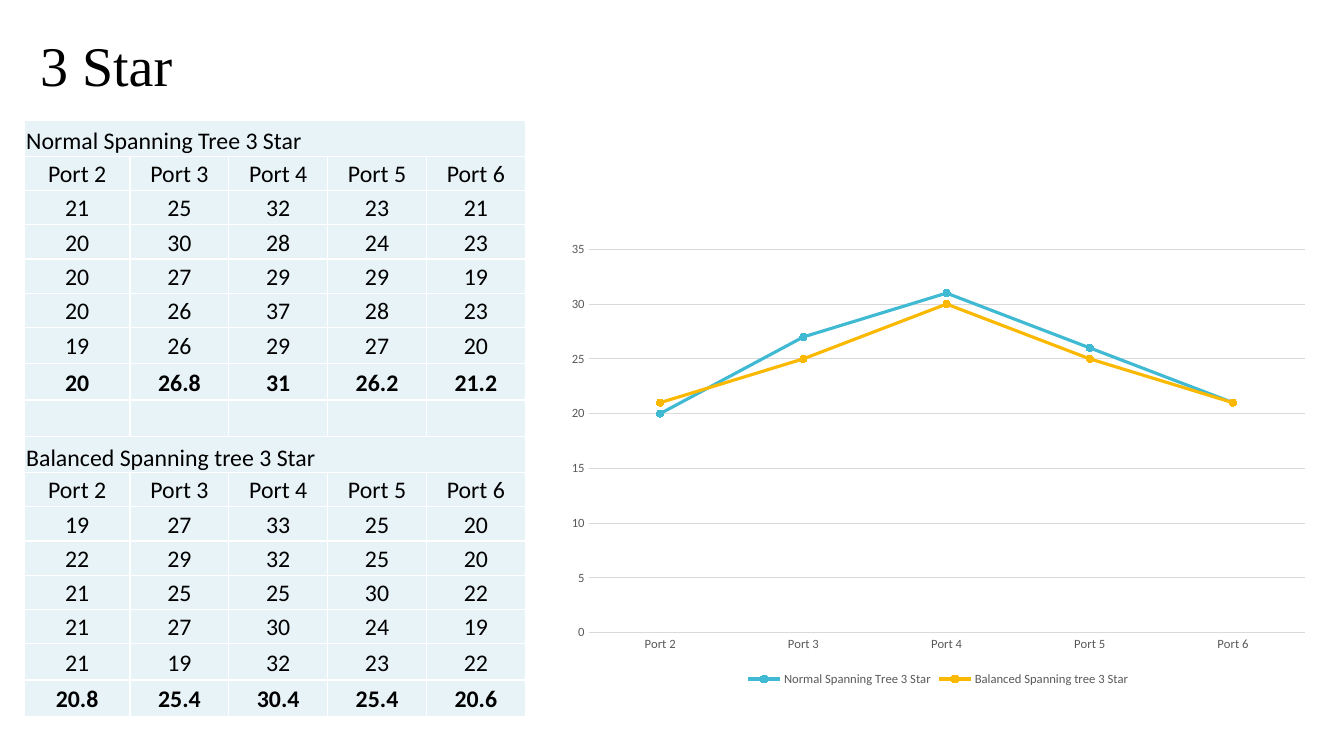
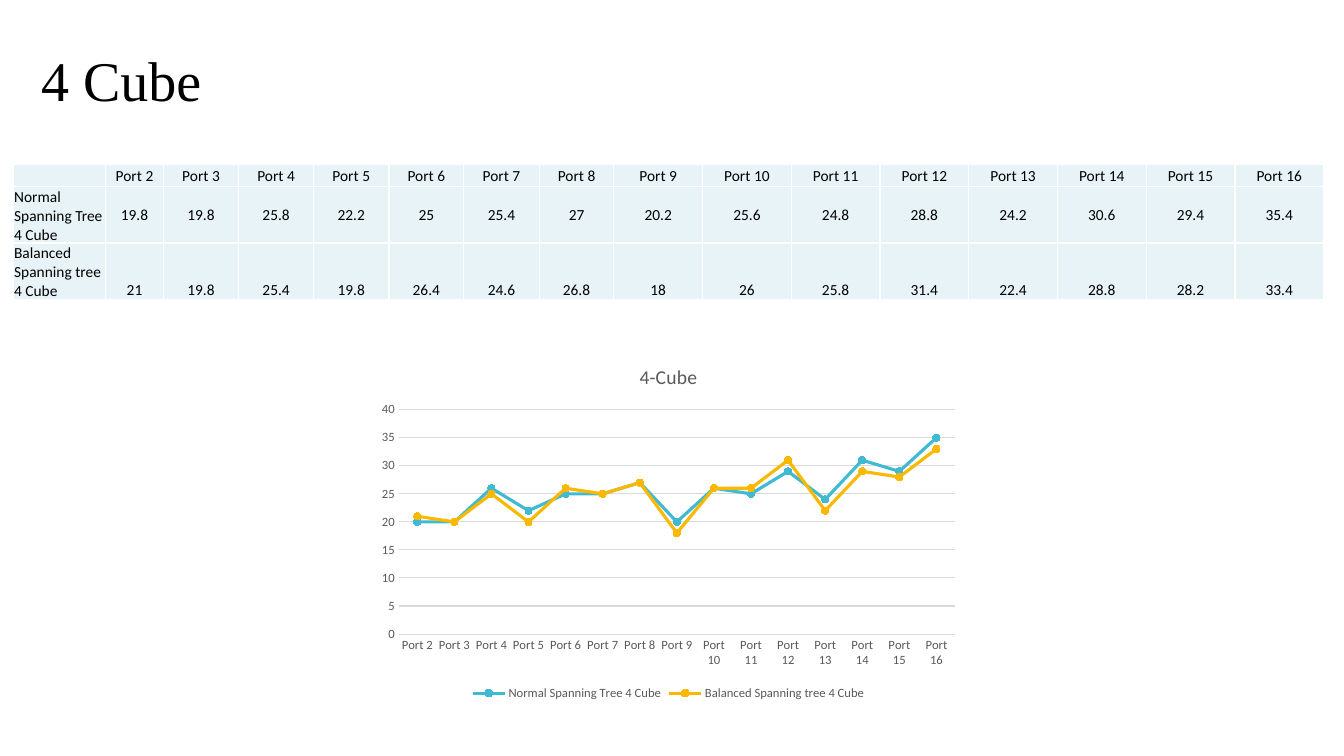
import pptx
import pptx.util
import pptx.chart.data
import pptx.dml.color
import pptx.enum.chart
import pptx.enum.text
import pptx.oxml
import pptx.oxml.ns

PX = 9144
BLACK, GREY, RULE, WHITE, CELL = "000000", "595959", "D9D9D9", "FFFFFF", "E8F3F7"
SERIES_COLOURS = ["40BAD2", "FAB900"]
BODY_FONT, TITLE_FONT = "Calibri", "Times New Roman"
MIDDLE = pptx.enum.text.MSO_ANCHOR.MIDDLE
BOTTOM = pptx.enum.text.MSO_ANCHOR.BOTTOM
LEFT = pptx.enum.text.PP_ALIGN.LEFT
CENTER = pptx.enum.text.PP_ALIGN.CENTER

STAR_RUNS = {
    "Normal Spanning Tree 3 Star": [
        (21, 25, 32, 23, 21),
        (20, 30, 28, 24, 23),
        (20, 27, 29, 29, 19),
        (20, 26, 37, 28, 23),
        (19, 26, 29, 27, 20),
    ],
    "Balanced Spanning tree 3 Star": [
        (19, 27, 33, 25, 20),
        (22, 29, 32, 25, 20),
        (21, 25, 25, 30, 22),
        (21, 27, 30, 24, 19),
        (21, 19, 32, 23, 22),
    ],
}
STAR_BLOCK_HEIGHTS = [36] + [34] * 5 + [36] * 2
STAR_COLUMNS = [105] + [98] * 4

CUBE_AVERAGES = {
    "Normal Spanning Tree 4 Cube": [
        19.8, 19.8, 25.8, 22.2, 25, 25.4, 27, 20.2,
        25.6, 24.8, 28.8, 24.2, 30.6, 29.4, 35.4],
    "Balanced Spanning tree 4 Cube": [
        21, 19.8, 25.4, 19.8, 26.4, 24.6, 26.8, 18,
        26, 25.8, 31.4, 22.4, 28.8, 28.2, 33.4],
}
CUBE_COLUMNS = [92, 57] + [75, 74] * 3 + [88] * 8
CUBE_ROWS = [22, 56, 56]


def px(*lengths):
    return [pptx.util.Emu(length * PX) for length in lengths]


def colour(value):
    return pptx.dml.color.RGBColor.from_string(value)


def style_font(font, size, value=BLACK, name=BODY_FONT, bold=False):
    font.size = pptx.util.Pt(size)
    font.name = name
    font.bold = bold
    font.color.rgb = colour(value)


def ports(count):
    return [f"Port {number}" for number in range(2, count + 2)]


def add_title(page, text, left, top, width):
    box = page.shapes.add_textbox(*px(left, top, width, 77))
    frame = box.text_frame
    frame.word_wrap = False
    frame.text = text
    style_font(frame.paragraphs[0].runs[0].font, 40, name=TITLE_FONT)


def add_borders(cell):
    properties = cell._tc.get_or_add_tcPr()
    for index, side in enumerate(("lnL", "lnR", "lnT", "lnB")):
        properties.insert(index, pptx.oxml.parse_xml(
            f'<a:{side} {pptx.oxml.ns.nsdecls("a")} w="12700"><a:solidFill>'
            f'<a:srgbClr val="{WHITE}"/></a:solidFill></a:{side}>'))


def add_grid(page, left, top, columns, heights, size, inset):
    frame = page.shapes.add_table(
        len(heights), len(columns), *px(left, top, sum(columns), sum(heights)))
    table = frame.table
    table.first_row = table.horz_banding = False
    for column, width in zip(table.columns, px(*columns)):
        column.width = width
    for row, height in zip(table.rows, px(*heights)):
        row.height = height
    for cell in table.iter_cells():
        cell.fill.solid()
        cell.fill.fore_color.rgb = colour(CELL)
        cell.margin_left, cell.margin_right, cell.margin_top, cell.margin_bottom = px(
            inset, inset, inset, 0)
        ending = cell.text_frame.paragraphs[0]._p.get_or_add_endParaRPr()
        ending.set("sz", str(size * 100))
        add_borders(cell)
    return table


def fill_row(table, row, values, size, anchor=MIDDLE, start=0, align=CENTER, bold=False):
    for column, value in enumerate(values, start):
        cell = table.cell(row, column)
        cell.vertical_anchor = anchor
        para = cell.text_frame.paragraphs[0]
        para.alignment = align
        span = para.add_run()
        span.text = value if isinstance(value, str) else f"{value:g}"
        style_font(span.font, size, bold=bold)


def style_line(line, value, width):
    line.color.rgb = colour(value)
    line.width = pptx.util.Pt(width)


def add_line_chart(page, area, averages, top_value, title=None):
    data = pptx.chart.data.CategoryChartData()
    data.categories = ports(len(next(iter(averages.values()))))
    for name, values in averages.items():
        data.add_series(name, [round(value) for value in values])
    chart = page.shapes.add_chart(
        pptx.enum.chart.XL_CHART_TYPE.LINE_MARKERS, *px(*area), data).chart
    style_font(chart.font, 10)

    chart.has_title = title is not None
    if title:
        chart.chart_title.text_frame.text = title
        span = chart.chart_title.text_frame.paragraphs[0].runs[0]
        style_font(span.font, 14, GREY)
        chart.chart_title.include_in_layout = False

    chart.has_legend = True
    chart.legend.position = pptx.enum.chart.XL_LEGEND_POSITION.BOTTOM
    chart.legend.include_in_layout = False
    style_font(chart.legend.font, 9, GREY)

    for axis in (chart.category_axis, chart.value_axis):
        axis.major_tick_mark = axis.minor_tick_mark = pptx.enum.chart.XL_TICK_MARK.NONE
        style_font(axis.tick_labels.font, 9, GREY)
    style_line(chart.category_axis.format.line, RULE, 0.75)
    scale = chart.value_axis
    scale.format.line.fill.background()
    scale.has_major_gridlines = True
    style_line(scale.major_gridlines.format.line, RULE, 0.75)
    scale.minimum_scale, scale.maximum_scale, scale.major_unit = 0, top_value, 5

    chart.plots[0].vary_by_categories = False
    for series, value in zip(chart.plots[0].series, SERIES_COLOURS):
        series.smooth = False
        style_line(series.format.line, value, 2.25)
        marker = series.marker
        marker.style = pptx.enum.chart.XL_MARKER_STYLE.CIRCLE
        marker.size = 5
        marker.format.fill.solid()
        marker.format.fill.fore_color.rgb = colour(value)
        style_line(marker.format.line, value, 0.75)


def build_star(page):
    heights = STAR_BLOCK_HEIGHTS + [36] + STAR_BLOCK_HEIGHTS
    table = add_grid(page, 24, 119, STAR_COLUMNS, heights, 17, 2)
    last = len(STAR_COLUMNS) - 1
    averages = {}
    for block, (name, runs) in enumerate(STAR_RUNS.items()):
        first = block * (len(STAR_BLOCK_HEIGHTS) + 1)
        averages[name] = [sum(column) / len(runs) for column in zip(*runs)]
        table.cell(first, 0).merge(table.cell(first, last))
        fill_row(table, first, [name], 17, BOTTOM, align=LEFT)
        for row, values in enumerate([ports(len(STAR_COLUMNS)), *runs], first + 1):
            fill_row(table, row, values, 17)
        fill_row(table, first + len(runs) + 2, averages[name], 17, bold=True)
    add_line_chart(page, (552, 231, 757, 454), averages, 35)
    add_title(page, "3 Star", 30, 25, 153)


def build_cube(page):
    table = add_grid(page, 13, 163, CUBE_COLUMNS, CUBE_ROWS, 11, 1)
    fill_row(table, 0, ports(len(CUBE_COLUMNS) - 1), 11, start=1)
    anchors = (MIDDLE, BOTTOM)
    for row, (name, values) in enumerate(CUBE_AVERAGES.items(), 1):
        fill_row(table, row, [name], 11, BOTTOM, align=LEFT)
        fill_row(table, row, values, 11, anchors[row - 1], start=1)
    add_line_chart(page, (367, 344, 592, 355), CUBE_AVERAGES, 40, "4-Cube")
    add_title(page, "4 Cube", 31, 40, 181)


def main():
    deck = pptx.Presentation()
    deck.slide_width, deck.slide_height = px(1333, 750)
    for build in (build_star, build_cube):
        build(deck.slides.add_slide(deck.slide_layouts[6]))
    deck.save("out.pptx")


if __name__ == "__main__":
    main()
